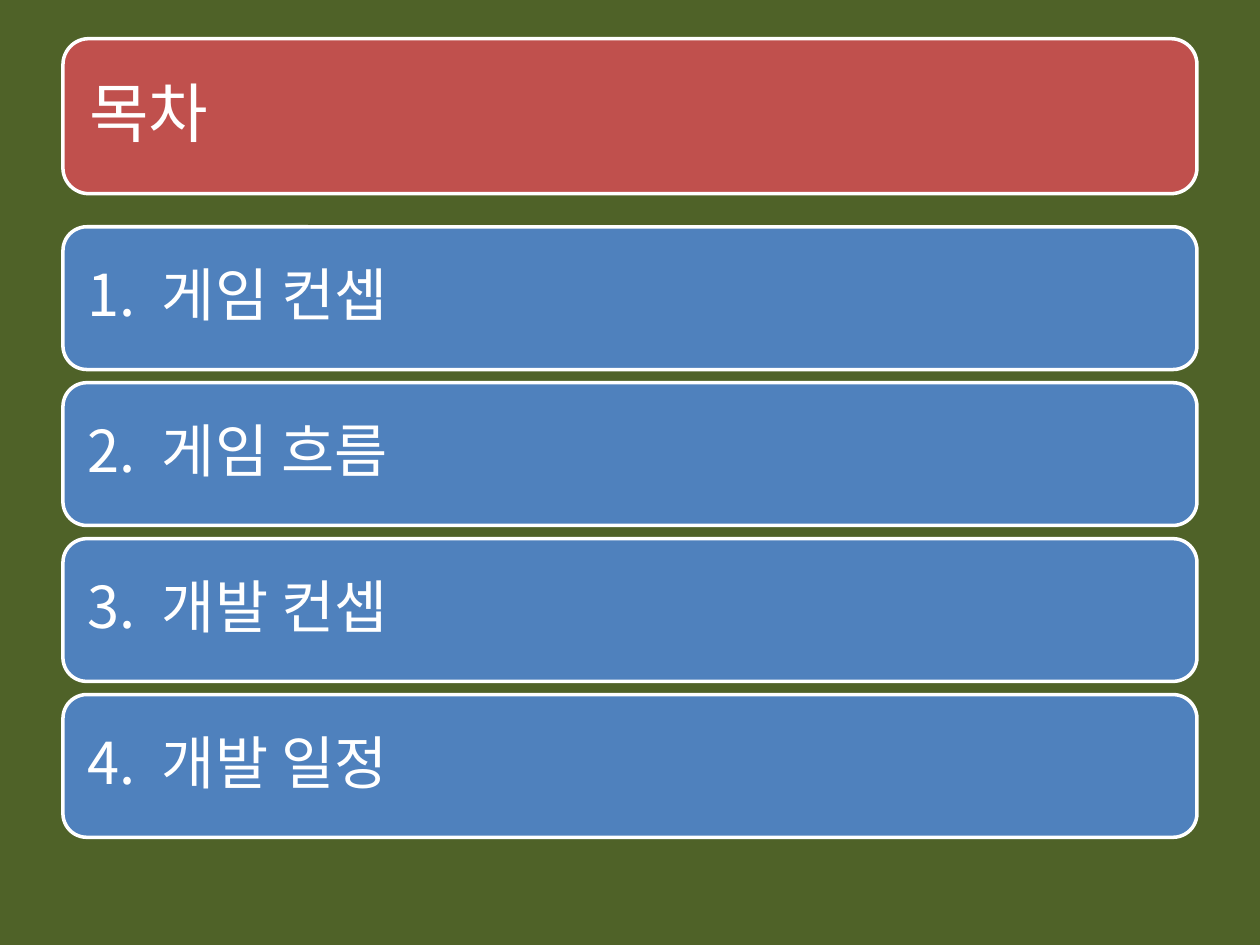
from lxml.etree import SubElement
from pptx import Presentation
from pptx.dml.color import RGBColor
from pptx.enum.shapes import MSO_SHAPE
from pptx.enum.text import MSO_ANCHOR, PP_ALIGN
from pptx.oxml.ns import qn
from pptx.util import Inches, Pt

COLORS = {
    "background": "4F6228",
    "title": "C0504D",
    "item": "4F81BD",
    "white": "FFFFFF",
}
FONT = "Noto Sans CJK KR"
ITEMS = ["게임 컨셉", "게임 흐름", "개발 컨셉", "개발 일정"]

# Shares of the slide's width and height
MARGIN = 0.05
TITLE_TOP, TITLE_HEIGHT = 0.041, 0.164
ITEM_TOP, ITEM_HEIGHT, ITEM_PITCH = 0.24, 0.151, 0.165


class Agenda:
    """Holds the slide and the style of its bars."""

    def __init__(self, presentation):
        self.width = presentation.slide_width
        self.height = presentation.slide_height
        self.slide = presentation.slides.add_slide(presentation.slide_layouts[6])

    def color(self, name):
        return RGBColor.from_string(COLORS[name])

    def background(self, name):
        fill = self.slide.background.fill
        fill.solid()
        fill.fore_color.rgb = self.color(name)

    def bar(self, text, top, height, fill, size, inset, tab=None):
        shape = self.slide.shapes.add_shape(
            MSO_SHAPE.ROUNDED_RECTANGLE,
            int(self.width * MARGIN), int(self.height * top),
            int(self.width * (1 - 2 * MARGIN)), int(self.height * height))
        shape.shadow.inherit = False
        shape.fill.solid()
        shape.fill.fore_color.rgb = self.color(fill)
        shape.line.color.rgb = self.color("white")
        shape.line.width = Pt(2)

        frame = shape.text_frame
        frame.word_wrap = True
        frame.vertical_anchor = MSO_ANCHOR.MIDDLE
        frame.margin_left = frame.margin_right = Inches(inset)
        frame.margin_top = frame.margin_bottom = Inches(inset)
        frame.text = text
        self.format(frame.paragraphs[0], size, tab)

    def format(self, paragraph, size, tab):
        paragraph.alignment = PP_ALIGN.LEFT
        paragraph.line_spacing = 0.9
        # Relative space after, then the tab stop behind the number
        properties = paragraph._p.get_or_add_pPr()
        space_after = SubElement(properties, qn("a:spcAft"))
        SubElement(space_after, qn("a:spcPct"), val="35000")
        if tab:
            tabs = SubElement(properties, qn("a:tabLst"))
            SubElement(tabs, qn("a:tab"), pos=str(Inches(tab)), algn="l")
        for run in paragraph.runs:
            run.font.size = Pt(size)
            run.font.color.rgb = self.color("white")
            run.font.name = FONT
            SubElement(run.font._element, qn("a:ea"), typeface=FONT)


def main():
    presentation = Presentation()
    presentation.slide_width = Inches(10)
    presentation.slide_height = Inches(7.5)
    agenda = Agenda(presentation)
    agenda.background("background")

    # Title bar
    agenda.bar("목차", TITLE_TOP, TITLE_HEIGHT, "title", size=37, inset=0.15)

    # Numbered items
    for index, item in enumerate(ITEMS):
        agenda.bar(f"{index + 1}.\t{item}", ITEM_TOP + index * ITEM_PITCH,
                   ITEM_HEIGHT, "item", size=33, inset=0.14, tab=0.59)

    presentation.save("out.pptx")


if __name__ == "__main__":
    main()
